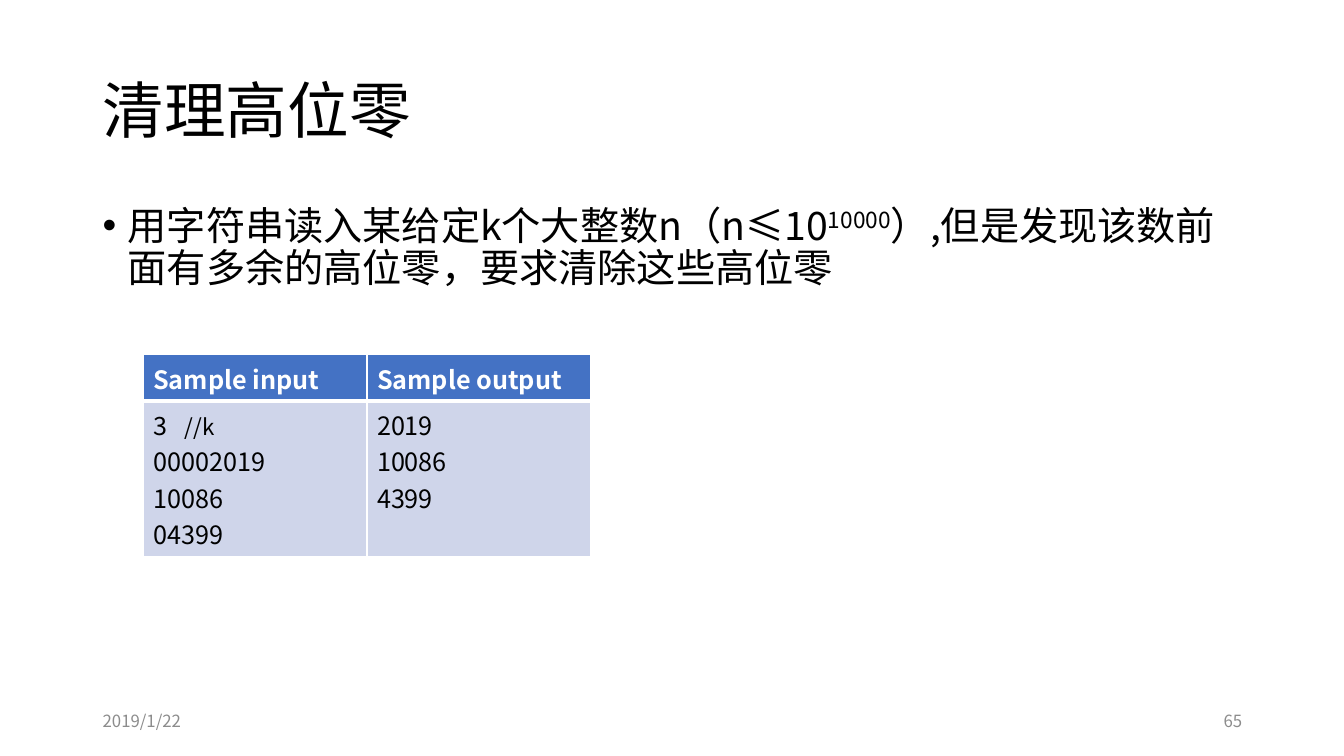
"""Build the slide on clearing leading zeros from big integers."""
from lxml import etree
from pptx import Presentation, util as u
from pptx.dml.color import RGBColor
from pptx.enum import text
from pptx.oxml import ns

PX = 9144
FONT = "Noto Sans CJK SC"
BLACK = RGBColor(0, 0, 0)
WHITE = RGBColor(255, 255, 255)
GRAY = RGBColor(0x8C, 0x8C, 0x8C)
BLUE = RGBColor(0x44, 0x72, 0xC4)
PALE_BLUE = RGBColor(0xCF, 0xD5, 0xEA)


def add_run(paragraph, words, size, color, bold=False):
    run = paragraph.add_run()
    run.text = words
    run.font.size = u.Pt(size)
    run.font.name = FONT
    run.font.bold = bold
    run.font.color.rgb = color
    etree.SubElement(run._r.get_or_add_rPr(), ns.qn("a:ea"), typeface=FONT)
    return run


def add_text_box(left, top, width, height, anchor):
    shape = slide.shapes.add_textbox(left * PX, top * PX, width * PX, height * PX)
    shape.text_frame.word_wrap = True
    shape.text_frame.vertical_anchor = anchor
    return shape.text_frame.paragraphs[0]


presentation = Presentation()
presentation.slide_width = 1333 * PX
presentation.slide_height = 750 * PX
slide = presentation.slides.add_slide(presentation.slide_layouts[6])

title = add_text_box(92, 40, 1150, 145, text.MSO_ANCHOR.MIDDLE)
title.line_spacing = 0.9
add_run(title, "清理高位零", 44, BLACK)

task = add_text_box(92, 200, 1150, 476, text.MSO_ANCHOR.TOP)
task.line_spacing = 0.9
task.space_before = u.Pt(10)
properties = task._p.get_or_add_pPr()
properties.set("marL", str(25 * PX))
properties.set("indent", str(-25 * PX))
etree.SubElement(properties, ns.qn("a:buFont"), typeface="Arial")
etree.SubElement(properties, ns.qn("a:buChar"), char="•")
add_run(task, "用字符串读入某给定k个大整数n（n≤10", 28, BLACK)
exponent = add_run(task, "10000", 28, BLACK)
exponent._r.get_or_add_rPr().set("baseline", "30000")
add_run(task, "）,但是发现该数前面有多余的高位零，要求清除这些高位零", 28, BLACK)

for left, words, alignment in (
    (92, "2019/1/22", text.PP_ALIGN.LEFT),
    (942, "65", text.PP_ALIGN.RIGHT),
):
    footer = add_text_box(left, 695, 300, 40, text.MSO_ANCHOR.MIDDLE)
    footer.alignment = alignment
    add_run(footer, words, 12, GRAY)

samples = [
    [["Sample input"], ["Sample output"]],
    [["3\t//k", "00002019", "10086", "04399"], ["2019", "10086", "4399"]],
]
table = slide.shapes.add_table(2, 2, 142 * PX, 352 * PX, 444 * PX, 200 * PX).table
table.rows[0].height = 46 * PX
table.rows[1].height = 154 * PX
for row, row_samples in enumerate(samples):
    is_header = row == 0
    for column, lines in enumerate(row_samples):
        cell = table.cell(row, column)
        cell.fill.solid()
        cell.fill.fore_color.rgb = BLUE if is_header else PALE_BLUE
        cell_properties = cell._tc.get_or_add_tcPr()
        thick_side = "lnB" if is_header else "lnT"
        for position, side in enumerate(("lnL", "lnR", "lnT", "lnB")):
            width = u.Pt(3 if side == thick_side else 1)
            border = etree.Element(ns.qn("a:" + side), w=str(width))
            border_fill = etree.SubElement(border, ns.qn("a:solidFill"))
            etree.SubElement(border_fill, ns.qn("a:srgbClr"), val=str(WHITE))
            cell_properties.insert(position, border)
        for number, line in enumerate(lines):
            frame = cell.text_frame
            paragraph = frame.add_paragraph() if number else frame.paragraphs[0]
            value, tab, remark = line.partition("\t")
            add_run(paragraph, value + tab, 18, WHITE if is_header else BLACK, is_header)
            if remark:
                tabs = etree.SubElement(paragraph._p.get_or_add_pPr(), ns.qn("a:tabLst"))
                etree.SubElement(tabs, ns.qn("a:tab"), pos=str(31 * PX), algn="l")
                add_run(paragraph, remark, 16, BLACK)

presentation.save("out.pptx")
